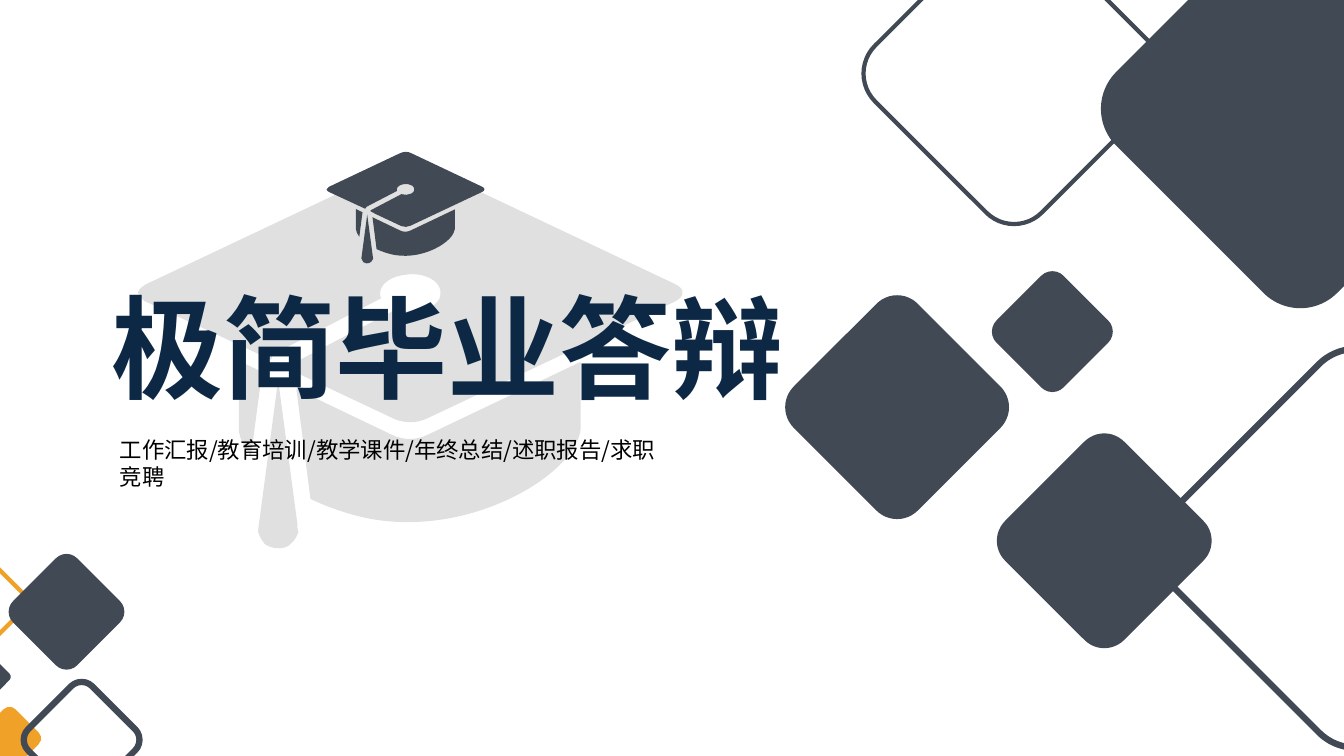
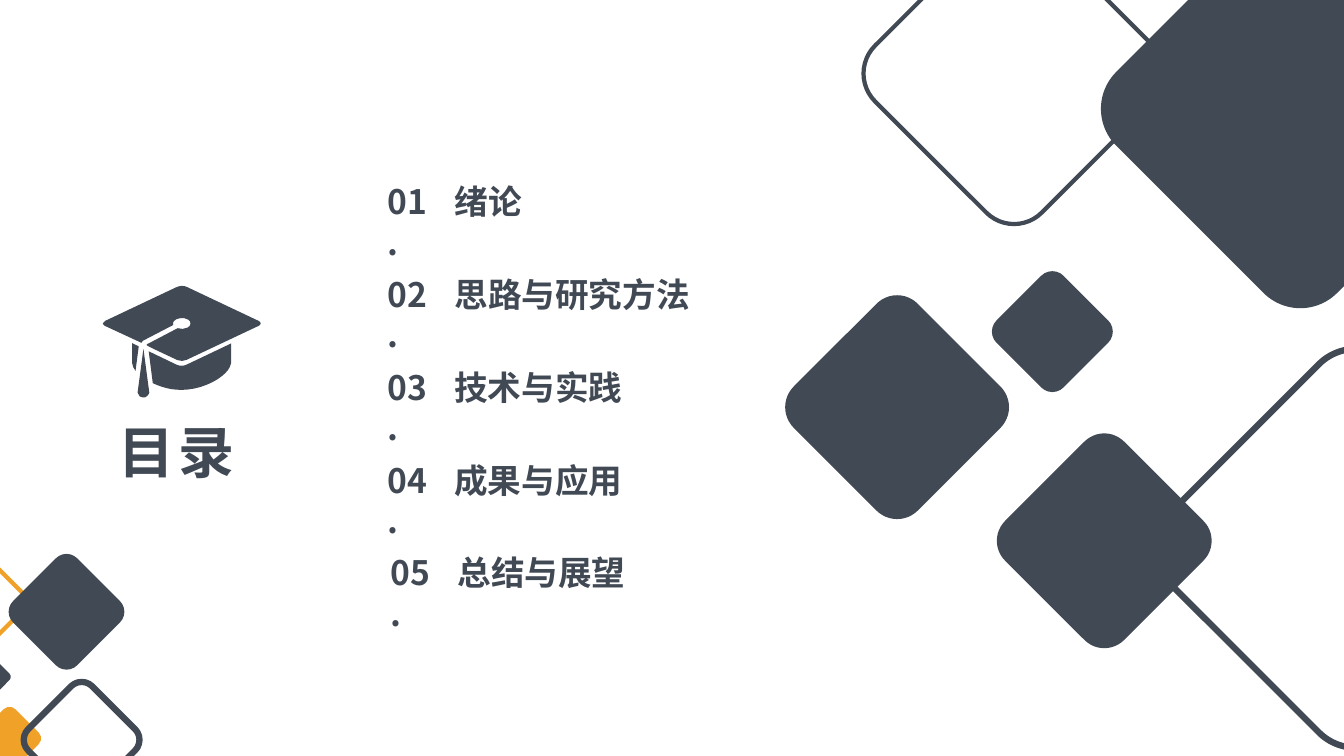
"""Build the cover and contents slides of a thesis defence deck."""
from dataclasses import dataclass

from lxml.etree import SubElement
from pptx import Presentation
from pptx.dml.color import RGBColor
from pptx.enum.shapes import MSO_SHAPE
from pptx.enum.text import MSO_AUTO_SIZE, PP_ALIGN
from pptx.oxml.ns import qn
from pptx.shapes.autoshape import Shape
from pptx.slide import Slide
from pptx.util import Inches, Pt

SLATE = "414954"
ORANGE = "EFA128"
NAVY = "0D2845"
BLACK = "000000"
PALE_GREY = "E0E0E0"
FONT = "Noto Sans CJK SC"
SMALL_CAP = 0.29


@dataclass(frozen=True)
class Diamond:
    left: float
    top: float
    side: float
    color: str = SLATE
    outline: float = 0


@dataclass(frozen=True)
class TextStyle:
    size: int
    color: str = SLATE
    bold: bool = True
    align: PP_ALIGN = PP_ALIGN.LEFT
    wrap: bool = True
    spacing: int = 0


DIAMONDS = (
    Diamond(8.89, -0.44, 2.34, outline=3),
    Diamond(11.35, -0.47, 3.1),
    Diamond(10.12, 4.53, 1.67),
    Diamond(11.9, 3.89, 3.1, outline=4.5),
    Diamond(9.97, 2.82, 0.94),
    Diamond(8.03, 3.17, 1.74),
    Diamond(-0.51, 5.63, 0.68, ORANGE, 3),
    Diamond(0.21, 5.62, 0.9),
    Diamond(-0.15, 7.08, 0.49, ORANGE),
    Diamond(0.36, 6.89, 0.9, outline=4.5),
    Diamond(-0.2, 6.58, 0.27),
)

BOARD = (
    (2.49, 0.08),
    (2.62, 0.01, 2.78, 0, 2.9, 0.07),
    (5.33, 1.22),
    (5.37, 1.24, 5.41, 1.27, 5.4, 1.31),
    (5.4, 1.35, 5.36, 1.37, 5.33, 1.39),
    (2.87, 2.55),
    (2.77, 2.6, 2.65, 2.6, 2.55, 2.56),
    (1.68, 2.15),
    (1.62, 2.12, 1.57, 2.1, 1.51, 2.06),
    (1.48, 2.05, 1.5, 2.02, 1.53, 2.01),
    (2.56, 1.47),
    (2.67, 1.51, 2.79, 1.5, 2.9, 1.45),
    (2.95, 1.42, 3, 1.38, 3, 1.32),
    (3.01, 1.26, 2.97, 1.21, 2.93, 1.18),
    (2.84, 1.12, 2.73, 1.11, 2.63, 1.13),
    (2.55, 1.14, 2.48, 1.17, 2.43, 1.23),
    (2.4, 1.27, 2.39, 1.32, 2.41, 1.36),
    (1.37, 1.9),
    (1.34, 1.91, 1.32, 1.94, 1.32, 1.97),
    (0.07, 1.39),
    (0.04, 1.37, 0, 1.34, 0, 1.3),
    (0.01, 1.26, 0.05, 1.24, 0.08, 1.22),
)
CROWN_LEFT = (
    (1, 1.98),
    (1.23, 2.09),
    (1.12, 2.93),
    (1.06, 2.84, 1, 2.75, 1, 2.65),
)
CROWN_RIGHT = (
    (2.88, 2.71),
    (4.39, 1.99),
    (4.39, 2.66),
    (4.38, 2.76, 4.32, 2.84, 4.27, 2.92),
    (4.16, 3.05, 4.02, 3.16, 3.87, 3.25),
    (3.41, 3.52, 2.85, 3.64, 2.32, 3.55),
    (2.11, 3.51, 1.9, 3.44, 1.71, 3.35),
    (1.57, 2.26),
    (2.51, 2.71),
    (2.63, 2.77, 2.76, 2.77, 2.88, 2.71),
)
TASSEL = (
    (1.19, 3.67),
    (1.39, 2.17),
    (1.58, 3.59),
    (1.58, 3.62, 1.58, 3.65, 1.59, 3.68),
    (1.57, 3.74, 1.53, 3.8, 1.46, 3.83),
    (1.4, 3.85, 1.32, 3.84, 1.26, 3.8),
    (1.23, 3.76, 1.2, 3.72, 1.19, 3.67),
)

CHAPTERS = ("绪论", "思路与研究方法", "技术与实践", "成果与应用", "总结与展望")
CHAPTER_LEFTS = (3.75, 3.75, 3.75, 3.75, 3.78)
CHAPTER_TOP = 1.75
CHAPTER_PITCH = 0.92


def rgb(color: str) -> RGBColor:
    """Turn a hex string into a colour."""
    return RGBColor.from_string(color)


def bend(part: Shape, outline: tuple) -> None:
    """Join each three lines that stand for a curve into one cubic curve."""
    contour = part._element.find(".//" + qn("a:path"))
    lines = iter(contour.findall(qn("a:lnTo")))
    for segment in outline[1:]:
        steps = [next(lines) for _ in range(len(segment) // 2)]
        if len(steps) == 1:
            continue
        curve = contour.makeelement(qn("a:cubicBezTo"))
        steps[0].addprevious(curve)
        for step in steps:
            curve.append(step[0])
            contour.remove(step)


def add_cap(slide: Slide, left: float, top: float, color: str, scale: float = 1) -> None:
    """Draw a graduation cap."""
    for outline in (BOARD, CROWN_LEFT, CROWN_RIGHT, TASSEL):
        points = [
            (Inches(left + x * scale), Inches(top + y * scale))
            for segment in outline
            for x, y in zip(segment[::2], segment[1::2])
        ]
        builder = slide.shapes.build_freeform(*points[0], scale=1.0)
        builder.add_line_segments(points[1:], close=True)
        part = builder.convert_to_shape()
        bend(part, outline)
        part.shadow.inherit = False
        part.fill.solid()
        part.fill.fore_color.rgb = rgb(color)
        part.line.fill.background()


def add_diamond(slide: Slide, diamond: Diamond) -> None:
    """Draw a rounded square standing on its corner."""
    side = Inches(diamond.side)
    square = slide.shapes.add_shape(
        MSO_SHAPE.ROUNDED_RECTANGLE, Inches(diamond.left), Inches(diamond.top), side, side
    )
    square.rotation = 45
    square.shadow.inherit = False
    if diamond.outline:
        square.fill.background()
        square.line.color.rgb = rgb(diamond.color)
        square.line.width = Pt(diamond.outline)
    else:
        square.fill.solid()
        square.fill.fore_color.rgb = rgb(diamond.color)
        square.line.fill.background()


def add_text(slide: Slide, text: str, left: float, top: float,
             width: float, height: float, style: TextStyle) -> None:
    """Place one paragraph of text."""
    box = slide.shapes.add_textbox(Inches(left), Inches(top), Inches(width), Inches(height))
    frame = box.text_frame
    frame.word_wrap = style.wrap
    frame.auto_size = MSO_AUTO_SIZE.SHAPE_TO_FIT_TEXT
    paragraph = frame.paragraphs[0]
    paragraph.text = text
    paragraph.alignment = style.align
    font = paragraph.font
    font.name = FONT
    font.size = Pt(style.size)
    font.bold = style.bold
    font.color.rgb = rgb(style.color)
    defaults = paragraph._p.pPr.find(qn("a:defRPr"))
    SubElement(defaults, qn("a:ea")).set("typeface", FONT)
    if style.spacing:
        defaults.set("spc", str(style.spacing * 100))


def add_diamonds(slide: Slide) -> None:
    """Draw the decoration that every slide carries."""
    for diamond in DIAMONDS:
        add_diamond(slide, diamond)


def build_cover(slide: Slide) -> None:
    """Fill the cover slide."""
    add_cap(slide, 1.37, 1.6, PALE_GREY)
    add_diamonds(slide)
    add_text(slide, "极简毕业答辩", 1.01, 2.71, 7.64, 1.45, TextStyle(80, NAVY))
    add_text(slide, "工作汇报/教育培训/教学课件/年终总结/述职报告/求职竞聘",
             1.09, 4.28, 5.61, 0.64, TextStyle(16, BLACK, bold=False))
    add_cap(slide, 3.24, 1.5, SLATE, SMALL_CAP)


def build_contents(slide: Slide) -> None:
    """Fill the contents slide."""
    add_diamonds(slide)
    add_text(slide, "目录", 0.94, 4.09, 1.63, 0.77,
             TextStyle(40, align=PP_ALIGN.CENTER, spacing=3))
    for index, (chapter, left) in enumerate(zip(CHAPTERS, CHAPTER_LEFTS)):
        top = CHAPTER_TOP + index * CHAPTER_PITCH
        add_text(slide, f"{index + 1:02d}.", left, top, 0.69, 0.5, TextStyle(24))
        chapter_width = 0.2 + len(chapter) * 0.34
        add_text(slide, chapter, left + 0.66, top, chapter_width, 0.5,
                 TextStyle(24, wrap=False))
    add_cap(slide, 1.02, 2.83, SLATE, SMALL_CAP)


def main() -> None:
    """Build and save the deck."""
    deck = Presentation()
    deck.slide_width = Inches(40 / 3)
    deck.slide_height = Inches(7.5)
    for build in (build_cover, build_contents):
        build(deck.slides.add_slide(deck.slide_layouts[6]))
    deck.save("out.pptx")


if __name__ == "__main__":
    main()
